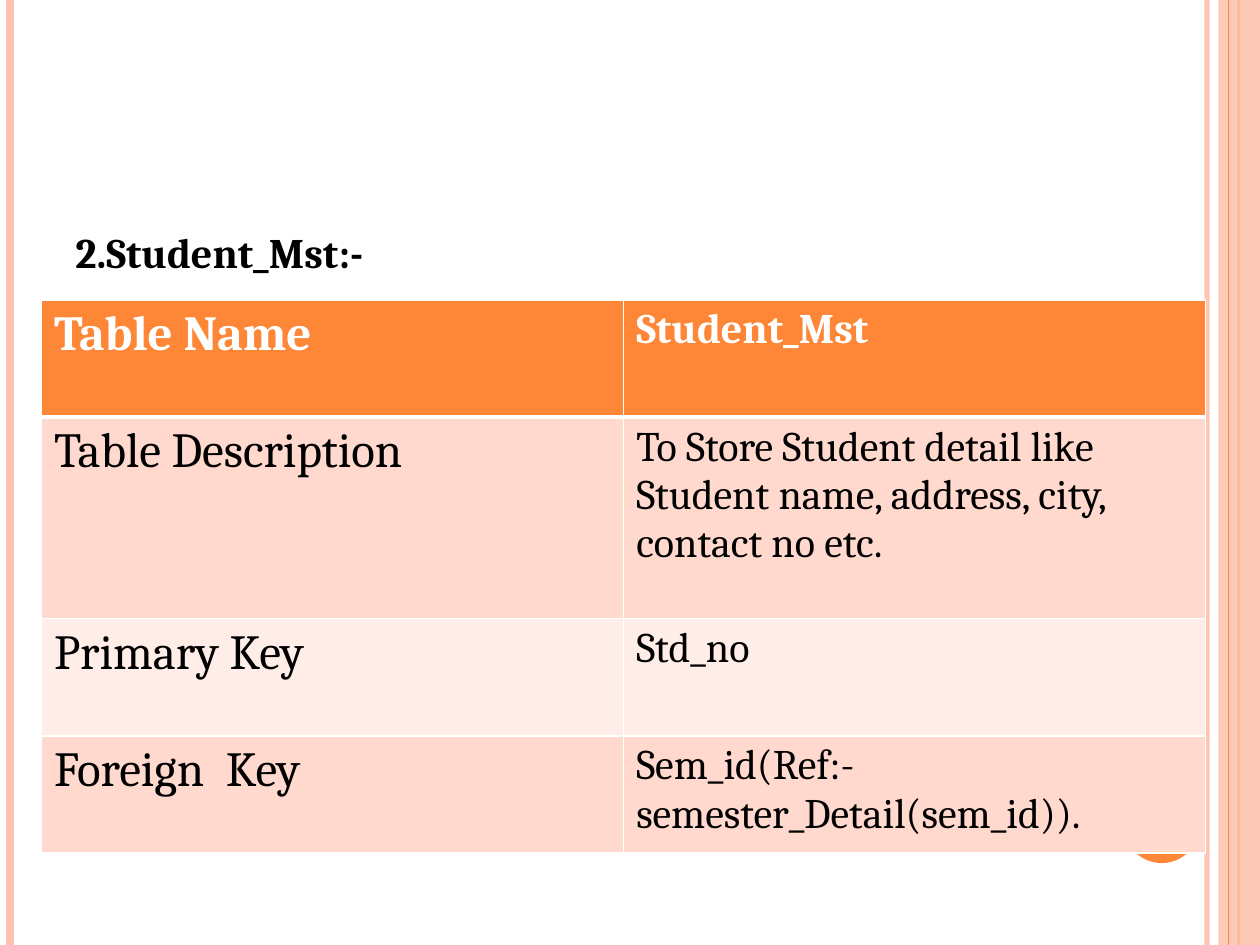
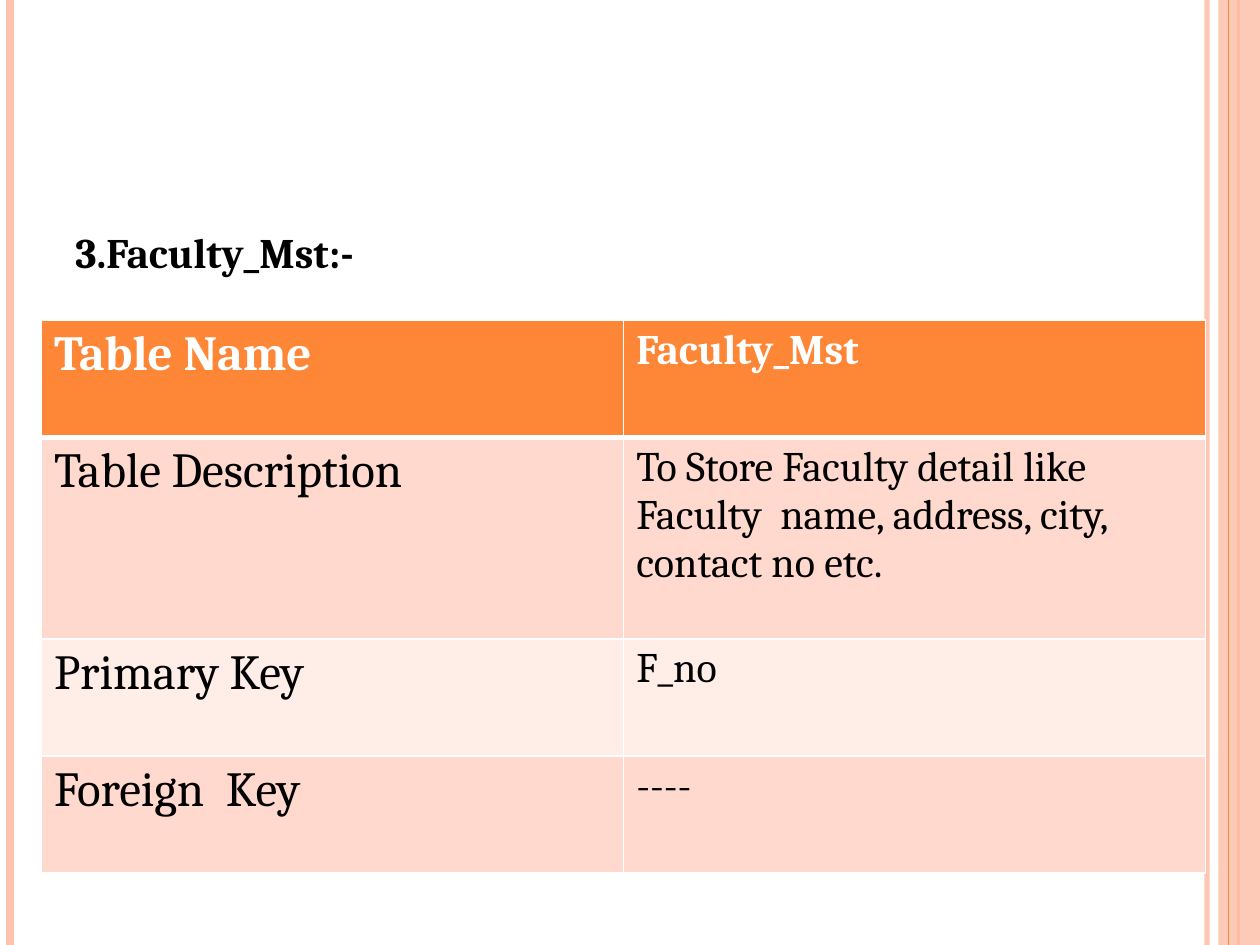
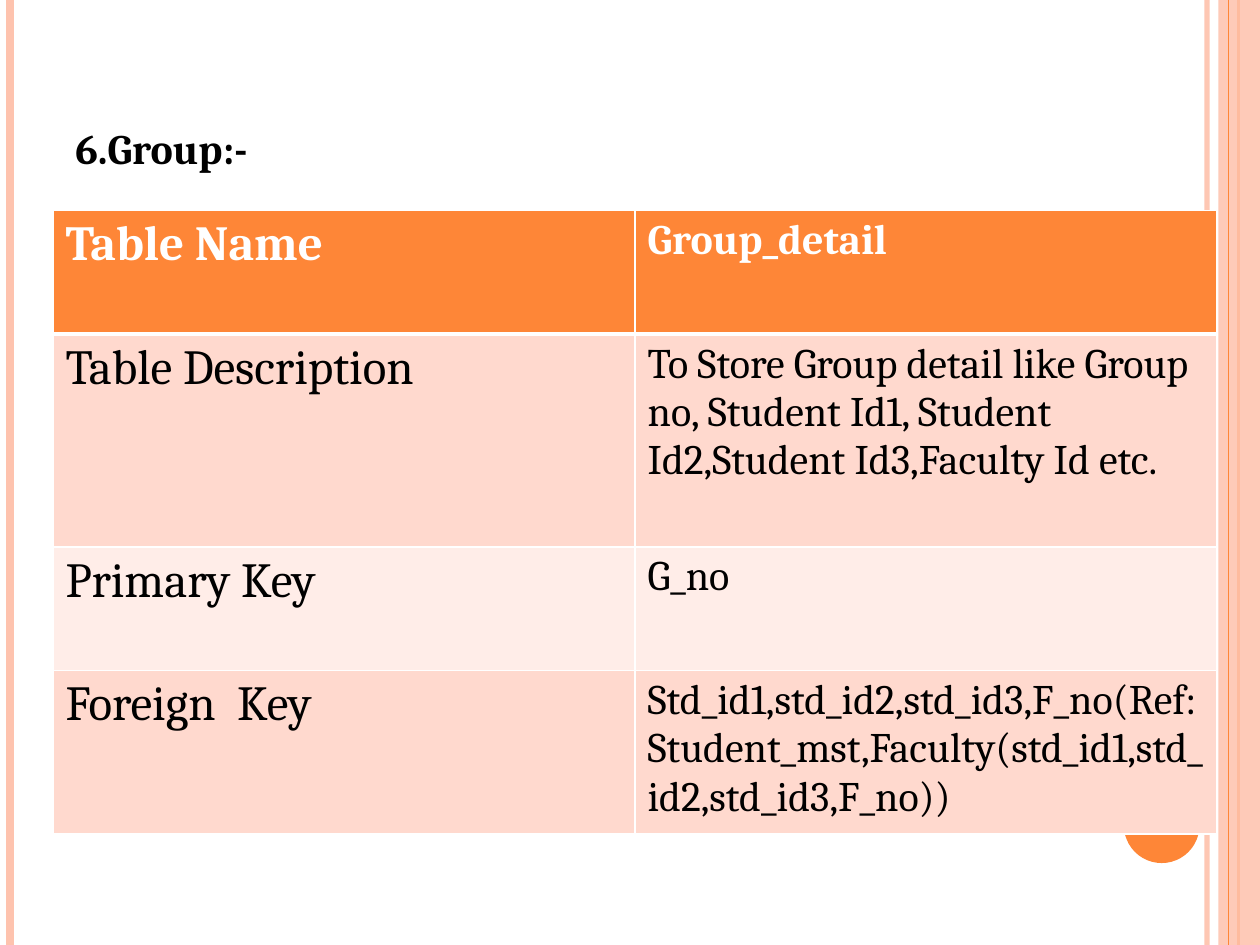
from dataclasses import dataclass

import pptx
import pptx.dml.color
import pptx.enum.shapes
import pptx.oxml.ns
import pptx.oxml.xmlchemy
import pptx.presentation
import pptx.shapes.autoshape
import pptx.slide
import pptx.table
import pptx.util
from lxml import etree
from pptx.dml.color import RGBColor
from pptx.util import Inches, Pt

WHITE = RGBColor(0xFF, 0xFF, 0xFF)
BLACK = RGBColor(0x00, 0x00, 0x00)
ORANGE = RGBColor(0xFE, 0x86, 0x37)
PEACH = RGBColor(0xFE, 0xC3, 0xAE)
ROW_DARK = RGBColor(0xFF, 0xD9, 0xCE)
ROW_LIGHT = RGBColor(0xFF, 0xED, 0xE8)

FONT = "Cambria"
LABEL_SIZE = Pt(28)
VALUE_SIZE = Pt(24)
PAGE_WIDTH = Inches(10)
PAGE_HEIGHT = Inches(7.5)
COLUMN_WIDTH = Inches(4.62)
ROW_LABELS = ("Table Name", "Table Description", "Primary Key", "Foreign  Key")


@dataclass(frozen=True)
class Rule:
    """A vertical line running the full height of the page."""

    left: float
    color: RGBColor
    width: float
    opacity: int = 100


@dataclass(frozen=True)
class TablePage:
    heading: str
    heading_top: float
    table_left: float
    table_top: float
    row_height: float
    description_height: float
    values: tuple[str, str, str, str]


RULES_BELOW_BAND = (
    Rule(9.58, PEACH, 3, opacity=93),
    Rule(0.08, PEACH, 4.5),
    Rule(9.83, ORANGE, 1.5),
)
RULE_ABOVE_BAND = Rule(9.75, ORANGE, 0.75)

PAGES = (
    TablePage(
        "2.Student_Mst:-", 1.75, 0.33, 2.38, 0.93, 1.6,
        (
            "Student_Mst",
            "To Store Student detail like Student name, address, city, contact no etc.",
            "Std_no",
            "Sem_id(Ref:-semester_Detail(sem_id)).",
        ),
    ),
    TablePage(
        "3.Faculty_Mst:-", 1.75, 0.33, 2.54, 0.93, 1.6,
        (
            "Faculty_Mst",
            "To Store Faculty detail like Faculty  name, address, city, contact no etc.",
            "F_no",
            "----",
        ),
    ),
    TablePage(
        "6.Group:-", 0.92, 0.42, 1.67, 0.98, 1.69,
        (
            "Group_detail",
            "To Store Group detail like Group no, Student Id1, Student Id2,"
            "Student Id3,Faculty Id etc.",
            "G_no",
            "Std_id1,std_id2,std_id3,F_no(Ref:Student_mst,Faculty"
            "(std_id1,std_id2,std_id3,F_no))",
        ),
    ),
)


def add_child(parent: etree._Element, tag: str, **attributes: str) -> etree._Element:
    return etree.SubElement(parent, pptx.oxml.ns.qn(tag), attributes)


def set_opacity(element: etree._Element, percent: int) -> None:
    """Make the first solid colour under the element partly transparent."""
    color = next(element.iter(pptx.oxml.ns.qn("a:srgbClr")))
    add_child(color, "a:alpha", val=str(percent * 1000))


def style_paragraph(
    paragraph, size: pptx.util.Length, color: RGBColor, bold: bool
) -> None:
    font = paragraph.font
    font.name = FONT
    font.size = size
    font.bold = bold
    font.color.rgb = color


def add_rule(page: pptx.slide.Slide, rule: Rule) -> None:
    left = Inches(rule.left)
    line = page.shapes.add_connector(
        pptx.enum.shapes.MSO_CONNECTOR.STRAIGHT, left, 0, left, PAGE_HEIGHT
    )
    line.line.color.rgb = rule.color
    line.line.width = Pt(rule.width)
    properties = line._element.spPr
    if rule.opacity < 100:
        set_opacity(properties, rule.opacity)
    add_child(properties, "a:effectLst")


def add_filled_shape(
    page: pptx.slide.Slide,
    kind: pptx.enum.shapes.MSO_SHAPE,
    left: float,
    top: float,
    width: float,
    height: float,
    color: RGBColor,
) -> pptx.shapes.autoshape.Shape:
    shape = page.shapes.add_shape(
        kind, Inches(left), Inches(top), Inches(width), Inches(height)
    )
    shape.shadow.inherit = False
    shape.fill.solid()
    shape.fill.fore_color.rgb = color
    shape.line.fill.background()
    return shape


def add_frame(page: pptx.slide.Slide) -> None:
    """Draw the edge lines, right band and circle that every page shares."""
    shapes = pptx.enum.shapes.MSO_SHAPE
    for rule in RULES_BELOW_BAND:
        add_rule(page, rule)
    band = add_filled_shape(page, shapes.RECTANGLE, 9.67, 0, 0.33, 7.5, PEACH)
    set_opacity(band._element.spPr, 87)
    add_rule(page, RULE_ABOVE_BAND)
    add_filled_shape(page, shapes.OVAL, 8.92, 6.25, 0.6, 0.6, ORANGE)


def add_heading(page: pptx.slide.Slide, text: str, top: float) -> None:
    box = page.shapes.add_textbox(
        Inches(0.5), Inches(top), Inches(8.17), Inches(5.33)
    )
    box.text_frame.word_wrap = True
    paragraph = box.text_frame.paragraphs[0]
    paragraph.text = text
    style_paragraph(paragraph, VALUE_SIZE, BLACK, bold=True)


def set_borders(cell: pptx.table._Cell, top: float, bottom: float) -> None:
    properties = cell._tc.get_or_add_tcPr()
    widths = {"a:lnL": 1, "a:lnR": 1, "a:lnT": top, "a:lnB": bottom}
    for tag, width in widths.items():
        border = add_child(properties, tag, w=str(Pt(width)))
        add_child(add_child(border, "a:solidFill"), "a:srgbClr", val=str(WHITE))


def fill_cell(
    cell: pptx.table._Cell, text: str, size: pptx.util.Length, row_index: int
) -> None:
    is_header = row_index == 0
    set_borders(
        cell, top=3 if row_index == 1 else 1, bottom=3 if is_header else 1
    )
    cell.fill.solid()
    if is_header:
        cell.fill.fore_color.rgb = ORANGE
    else:
        cell.fill.fore_color.rgb = ROW_DARK if row_index % 2 else ROW_LIGHT
    paragraph = cell.text_frame.paragraphs[0]
    paragraph.text = text
    style_paragraph(paragraph, size, WHITE if is_header else BLACK, is_header)


def add_detail_table(page: pptx.slide.Slide, content: TablePage) -> None:
    heights = [content.row_height] * len(ROW_LABELS)
    heights[1] = content.description_height
    table = page.shapes.add_table(
        len(ROW_LABELS), 2,
        Inches(content.table_left), Inches(content.table_top),
        2 * COLUMN_WIDTH, Inches(sum(heights)),
    ).table
    for column in table.columns:
        column.width = COLUMN_WIDTH
    for index, (label, value) in enumerate(zip(ROW_LABELS, content.values)):
        table.rows[index].height = Inches(heights[index])
        fill_cell(table.cell(index, 0), label, LABEL_SIZE, index)
        fill_cell(table.cell(index, 1), value, VALUE_SIZE, index)


def add_page(deck: pptx.presentation.Presentation, content: TablePage) -> None:
    page = deck.slides.add_slide(deck.slide_layouts[6])
    page.background.fill.solid()
    page.background.fill.fore_color.rgb = WHITE
    add_frame(page)
    add_heading(page, content.heading, content.heading_top)
    add_detail_table(page, content)


def main() -> None:
    deck = pptx.Presentation()
    deck.slide_width = PAGE_WIDTH
    deck.slide_height = PAGE_HEIGHT
    for content in PAGES:
        add_page(deck, content)
    deck.save("out.pptx")


if __name__ == "__main__":
    main()
